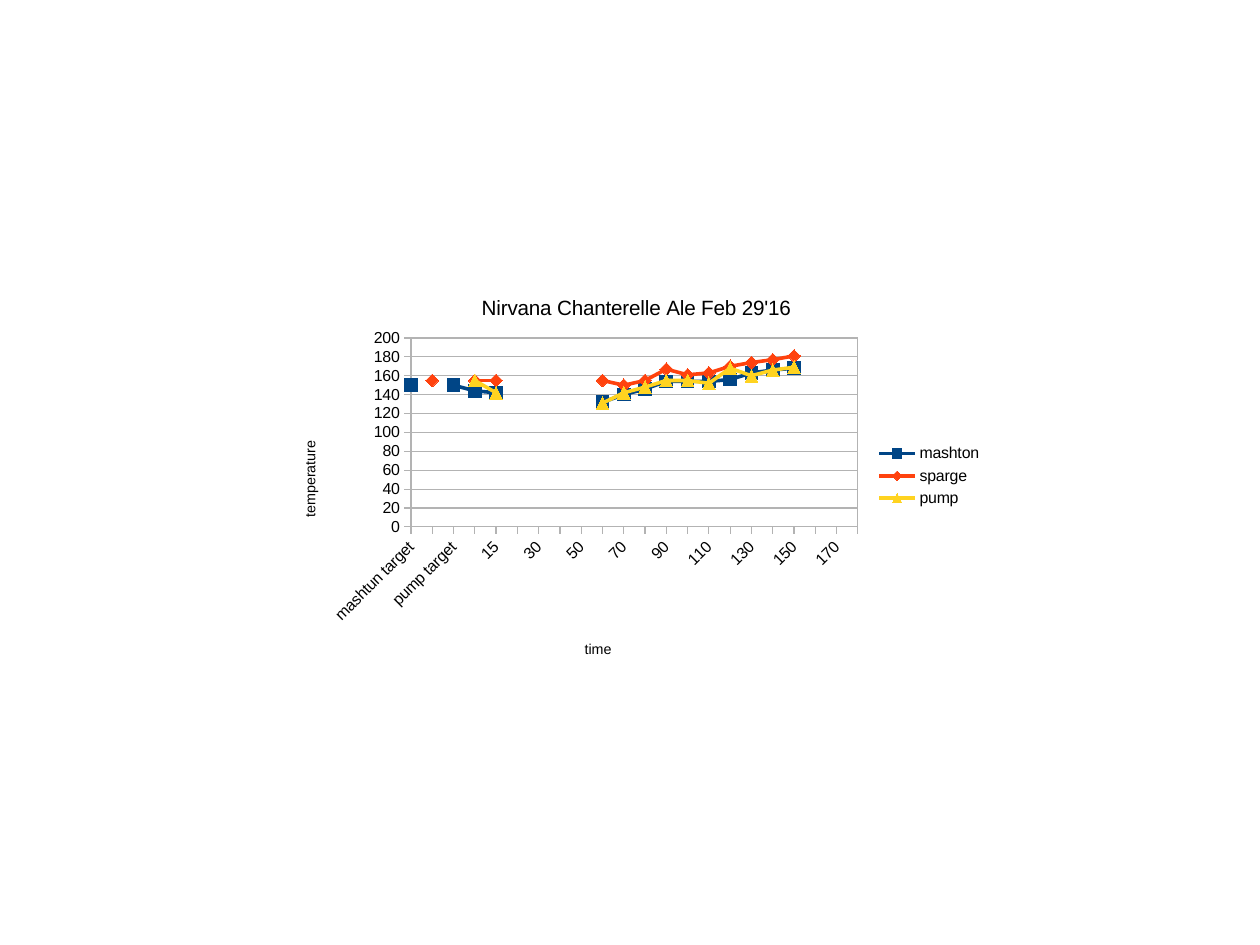
import pptx
import pptx.chart.data
import pptx.dml.color
import pptx.enum.chart
import pptx.oxml
import pptx.oxml.ns
import pptx.util

BLACK = pptx.dml.color.RGBColor(0x00, 0x00, 0x00)
GREY = pptx.dml.color.RGBColor(0xB3, 0xB3, 0xB3)
BLUE = pptx.dml.color.RGBColor(0x00, 0x45, 0x86)
ORANGE = pptx.dml.color.RGBColor(0xFF, 0x42, 0x0E)
YELLOW = pptx.dml.color.RGBColor(0xFF, 0xD3, 0x20)
EMU_PER_PX = 914400 / 114.3
MARKERS = pptx.enum.chart.XL_MARKER_STYLE
qn = pptx.oxml.ns.qn


def px(length):
    return pptx.util.Emu(round(length * EMU_PER_PX))


def chart_xml(tag, value):
    return pptx.oxml.parse_xml(
        f'<c:{tag} {pptx.oxml.ns.nsdecls("c")} val="{value}"/>')


class ChartSlide:
    """Holds the style, the slide and the chart frame in pixels."""
    font_name = "Arial"

    def __init__(self, deck, frame):
        self.slide = deck.slides.add_slide(deck.slide_layouts[6])
        self.frame = frame

    def style_font(self, font, size):
        font.name = self.font_name
        font.size = pptx.util.Pt(size)
        font.bold = False
        font.color.rgb = BLACK

    def line_chart(self, categories, readings):
        data = pptx.chart.data.CategoryChartData()
        data.categories = categories
        for name, values, _, _ in readings:
            data.add_series(name, values)
        self.chart = self.slide.shapes.add_chart(
            pptx.enum.chart.XL_CHART_TYPE.LINE_MARKERS,
            *map(px, self.frame), data).chart
        self.style_font(self.chart.font, 10)
        plot = self.chart.plots[0]
        plot.vary_by_categories = False
        for series, (_, _, color, marker) in zip(plot.series, readings):
            series.smooth = False
            series.format.line.color.rgb = color
            series.format.line.width = pptx.util.Pt(2.27)
            series.marker.style = marker
            series.marker.size = 8
            series.marker.format.fill.solid()
            series.marker.format.fill.fore_color.rgb = color
            series.marker.format.line.fill.background()

    def place(self, element, left, top, width=None, height=None):
        """Fix a chart part at slide pixels, as fractions of the frame."""
        frame_left, frame_top, frame_width, frame_height = self.frame
        for old in element.findall(qn("c:layout")):
            element.remove(old)
        parts = [("xMode", "edge"), ("yMode", "edge"),
                 ("x", round((left - frame_left) / frame_width, 4)),
                 ("y", round((top - frame_top) / frame_height, 4))]
        if width:
            parts.insert(0, ("layoutTarget", "inner"))
            parts += [("w", round(width / frame_width, 4)),
                      ("h", round(height / frame_height, 4))]
        tags = "".join(f'<c:{tag} val="{value}"/>' for tag, value in parts)
        layout = pptx.oxml.parse_xml(
            f'<c:layout {pptx.oxml.ns.nsdecls("c")}>'
            f'<c:manualLayout>{tags}</c:manualLayout></c:layout>')
        overlay = element.find(qn("c:overlay"))
        if overlay is None:
            element.insert(0, layout)
        else:
            overlay.addprevious(layout)

    def title(self, owner, text, size, left, top, turn=0):
        owner.has_title = True
        title = owner.chart_title if owner is self.chart else owner.axis_title
        frame = title.text_frame
        frame.text = text
        self.style_font(frame.paragraphs[0].runs[0].font, size)
        frame._txBody.find(qn("a:bodyPr")).set("rot", str(turn * 60000))
        self.place(title._element, left, top)

    def hairline(self, line):
        line.color.rgb = GREY
        line.width = 0

    def axis(self, axis, gridlines):
        axis.has_major_gridlines = gridlines
        if gridlines:
            self.hairline(axis.major_gridlines.format.line)
        axis.major_tick_mark = pptx.enum.chart.XL_TICK_MARK.OUTSIDE
        axis.minor_tick_mark = pptx.enum.chart.XL_TICK_MARK.NONE
        self.hairline(axis.format.line)
        self.style_font(axis.tick_labels.font, 10)

    def plot_area(self, left, top, width, height):
        area = self.chart._chartSpace.chart.plotArea
        self.place(area, left, top, width, height)
        area.append(pptx.oxml.parse_xml(
            f'<c:spPr {pptx.oxml.ns.nsdecls("c", "a")}><a:noFill/>'
            f'<a:ln w="0"><a:solidFill><a:srgbClr val="{GREY}"/>'
            '</a:solidFill></a:ln></c:spPr>'))

    def legend(self, left, top):
        self.chart.has_legend = True
        legend = self.chart.legend
        legend.position = pptx.enum.chart.XL_LEGEND_POSITION.RIGHT
        legend.include_in_layout = False
        self.style_font(legend.font, 10)
        self.place(legend._element, left, top)


# Brewing temperatures by time
times = ["mashtun target", "sparge target", "pump target", "0 (mash in)", "15",
         *map(str, range(20, 181, 10))]
pause, rest = [None] * 4, [None] * 3
readings = [
    ("mashton", [150, None, 150, 144, 142, *pause, 132, 140, 146, 154, 154,
                 154, 156, 163, 166, 168, *rest], BLUE, MARKERS.SQUARE),
    ("sparge", [None, 155, None, 155, 155, *pause, 155, 150, 155, 167, 161,
                163, 170, 174, 177, 181, *rest], ORANGE, MARKERS.DIAMOND),
    ("pump", [None, None, None, 155, 142, *pause, 131, 142, 148, 155, 155,
              152, 168, 160, 166, 169, *rest], YELLOW, MARKERS.TRIANGLE),
]

deck = pptx.Presentation()
deck.slide_width, deck.slide_height = px(1260), px(945)
brew = ChartSlide(deck, (272, 272, 720, 405))
brew.line_chart(times, readings)

# Axes: first time on the temperature axis, every second time labelled
time_axis = brew.chart.category_axis
temperature_axis = brew.chart.value_axis
brew.axis(time_axis, gridlines=False)
brew.axis(temperature_axis, gridlines=True)
temperature_axis.minimum_scale = 0
temperature_axis.maximum_scale = 200
temperature_axis.major_unit = 20
temperature_axis._element.find(qn("c:crosses")).addnext(
    chart_xml("crossBetween", "midCat"))
time_labels = time_axis._element.find(qn("c:txPr"))
time_labels.find(qn("a:bodyPr")).set("rot", str(-45 * 60000))
time_axis._element.find(qn("c:noMultiLvlLbl")).addprevious(
    chart_xml("tickLblSkip", 2))

# Titles, plot area and legend
brew.title(brew.chart, "Nirvana Chanterelle Ale Feb 29'16", 13, 478, 291)
brew.title(time_axis, "time", 9, 582, 637)
brew.title(temperature_axis, "temperature", 9, 298, 438, turn=-90)
brew.plot_area(411, 338, 447, 189)
brew.legend(874, 440)

deck.save("out.pptx")
